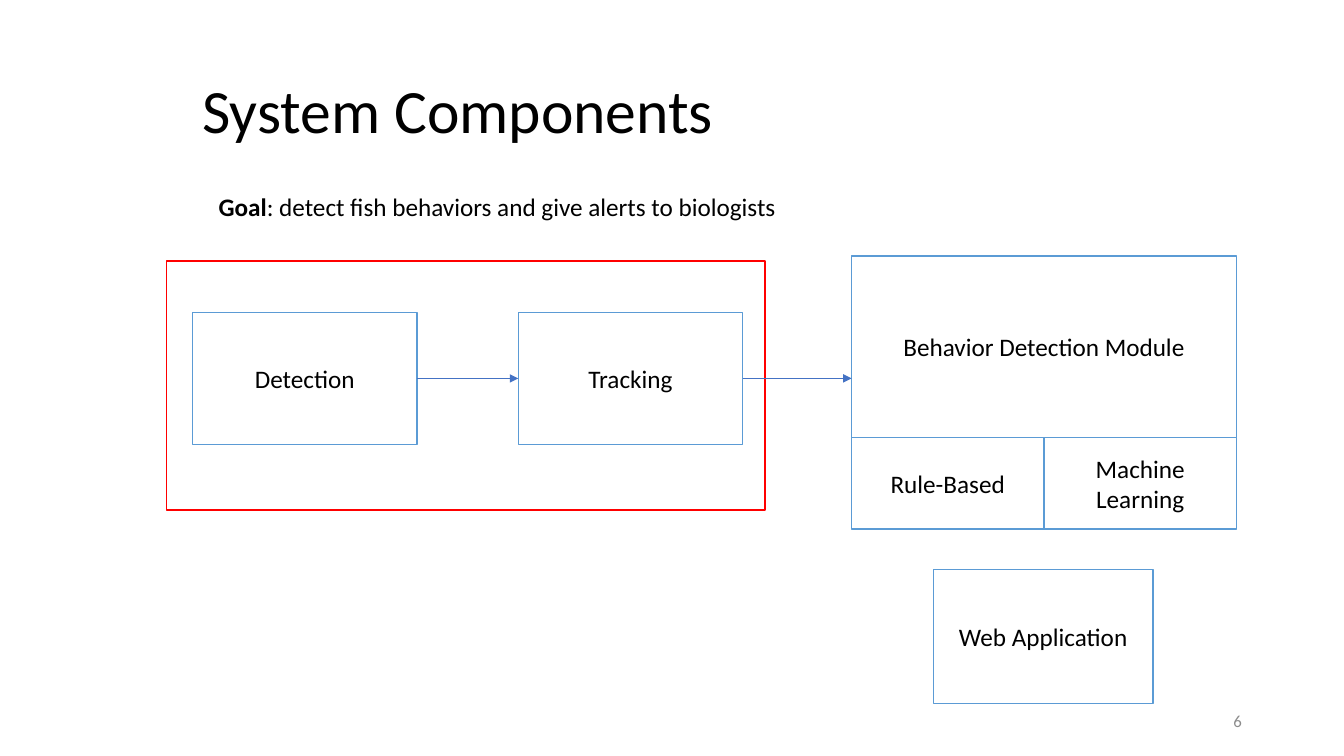
from dataclasses import dataclass
from typing import Optional

from lxml.etree import SubElement
from pptx import Presentation
from pptx.dml.color import RGBColor
from pptx.enum.shapes import MSO_CONNECTOR as Connector, MSO_SHAPE as Shape
from pptx.enum.text import MSO_ANCHOR as Anchor, PP_ALIGN as Align
from pptx.oxml.ns import qn
from pptx.slide import Slide
from pptx.util import Cm, Pt


@dataclass(frozen=True)
class Theme:
    font: str = "Calibri"
    ink: RGBColor = RGBColor(0x00, 0x00, 0x00)
    muted: RGBColor = RGBColor(0x8C, 0x8C, 0x8C)
    paper: RGBColor = RGBColor(0xFF, 0xFF, 0xFF)
    outline: RGBColor = RGBColor(0x5B, 0x9B, 0xD5)
    group: RGBColor = RGBColor(0xFF, 0x00, 0x00)
    arrow: RGBColor = RGBColor(0x44, 0x72, 0xC4)
    title_size: int = 44
    body_size: int = 18
    number_size: int = 12
    outline_width: float = 1
    arrow_width: float = 0.5


THEME = Theme()


@dataclass(frozen=True)
class Area:
    left: float
    top: float
    width: float
    height: float

    @property
    def right(self) -> float:
        return self.left + self.width

    @property
    def bottom(self) -> float:
        return self.top + self.height

    @property
    def lengths(self) -> tuple[Cm, Cm, Cm, Cm]:
        return Cm(self.left), Cm(self.top), Cm(self.width), Cm(self.height)


@dataclass(frozen=True)
class Component:
    area: Area
    label: str = ""
    line: RGBColor = THEME.outline
    fill: Optional[RGBColor] = THEME.paper


@dataclass(frozen=True)
class Caption:
    area: Area
    text: str
    size: int
    color: RGBColor = THEME.ink
    anchor: Anchor = Anchor.MIDDLE
    align: Align = Align.LEFT
    line_spacing: float = 1.0
    bold_lead: str = ""


@dataclass(frozen=True)
class Arrow:
    start: float
    end: float
    height: float


def style_span(span, size: int, color: RGBColor, bold: bool = False) -> None:
    span.font.name = THEME.font
    span.font.size = Pt(size)
    span.font.color.rgb = color
    span.font.bold = bold


def draw_caption(page: Slide, caption: Caption) -> None:
    frame = page.shapes.add_textbox(*caption.area.lengths).text_frame
    frame.word_wrap = True
    frame.vertical_anchor = caption.anchor
    para = frame.paragraphs[0]
    para.alignment = caption.align
    para.line_spacing = caption.line_spacing
    if caption.bold_lead:
        para.text = caption.bold_lead
        style_span(para.runs[0], caption.size, caption.color, bold=True)
    span = para.add_run()
    span.text = caption.text
    style_span(span, caption.size, caption.color)


def draw_component(page: Slide, component: Component) -> None:
    box = page.shapes.add_shape(Shape.RECTANGLE, *component.area.lengths)
    box.shadow.inherit = False
    box.line.color.rgb = component.line
    box.line.width = Pt(THEME.outline_width)
    if component.fill is None:
        box.fill.background()
    else:
        box.fill.solid()
        box.fill.fore_color.rgb = component.fill
    if component.label:
        frame = box.text_frame
        frame.text = component.label
        frame.word_wrap = True
        frame.vertical_anchor = Anchor.MIDDLE
        para = frame.paragraphs[0]
        para.alignment = Align.CENTER
        style_span(para.runs[0], THEME.body_size, THEME.ink)


def draw_arrow(page: Slide, arrow: Arrow) -> None:
    connector = page.shapes.add_connector(
        Connector.STRAIGHT,
        Cm(arrow.start), Cm(arrow.height), Cm(arrow.end), Cm(arrow.height),
    )
    connector.line.color.rgb = THEME.arrow
    connector.line.width = Pt(THEME.arrow_width)
    SubElement(connector.line._get_or_add_ln(), qn("a:tailEnd"), type="triangle")
    SubElement(connector._element.spPr, qn("a:effectLst"))


def main() -> None:
    deck = Presentation()
    deck.slide_width, deck.slide_height = Cm(33.87), Cm(19.05)
    page = deck.slides.add_slide(deck.slide_layouts[6])

    detection = Area(4.85, 7.87, 5.66, 3.33)
    tracking = Area(13.06, detection.top, detection.width, detection.height)
    behavior = Area(21.46, 6.45, 9.7, 4.57)
    rules = Area(behavior.left, behavior.bottom, behavior.width / 2, 2.31)
    learning = Area(rules.right, rules.top, rules.width, rules.height)
    middle = detection.top + detection.height / 2

    captions = [
        Caption(Area(4.85, 1.02, 26.67, 3.68), "System Components",
                THEME.title_size, line_spacing=0.9),
        Caption(Area(23.93, 17.65, 7.62, 1.02), "6", THEME.number_size,
                color=THEME.muted, align=Align.RIGHT),
        Caption(Area(5.26, 4.7, 26.29, 1.02),
                ": detect fish behaviors and give alerts to biologists",
                THEME.body_size, anchor=Anchor.TOP, bold_lead="Goal"),
    ]
    components = [
        Component(behavior, "Behavior Detection Module"),
        Component(Area(23.52, 14.35, 5.54, 3.38), "Web Application"),
        Component(rules, "Rule-Based"),
        Component(learning, "Machine Learning"),
        Component(detection, "Detection"),
        Component(tracking, "Tracking"),
        Component(Area(4.19, 6.58, 15.09, 6.27), line=THEME.group, fill=None),
    ]
    arrows = [
        Arrow(detection.right, tracking.left, middle),
        Arrow(tracking.right, behavior.left, middle),
    ]

    for caption in captions:
        draw_caption(page, caption)
    for component in components:
        draw_component(page, component)
    for arrow in arrows:
        draw_arrow(page, arrow)

    deck.save("out.pptx")


if __name__ == "__main__":
    main()
